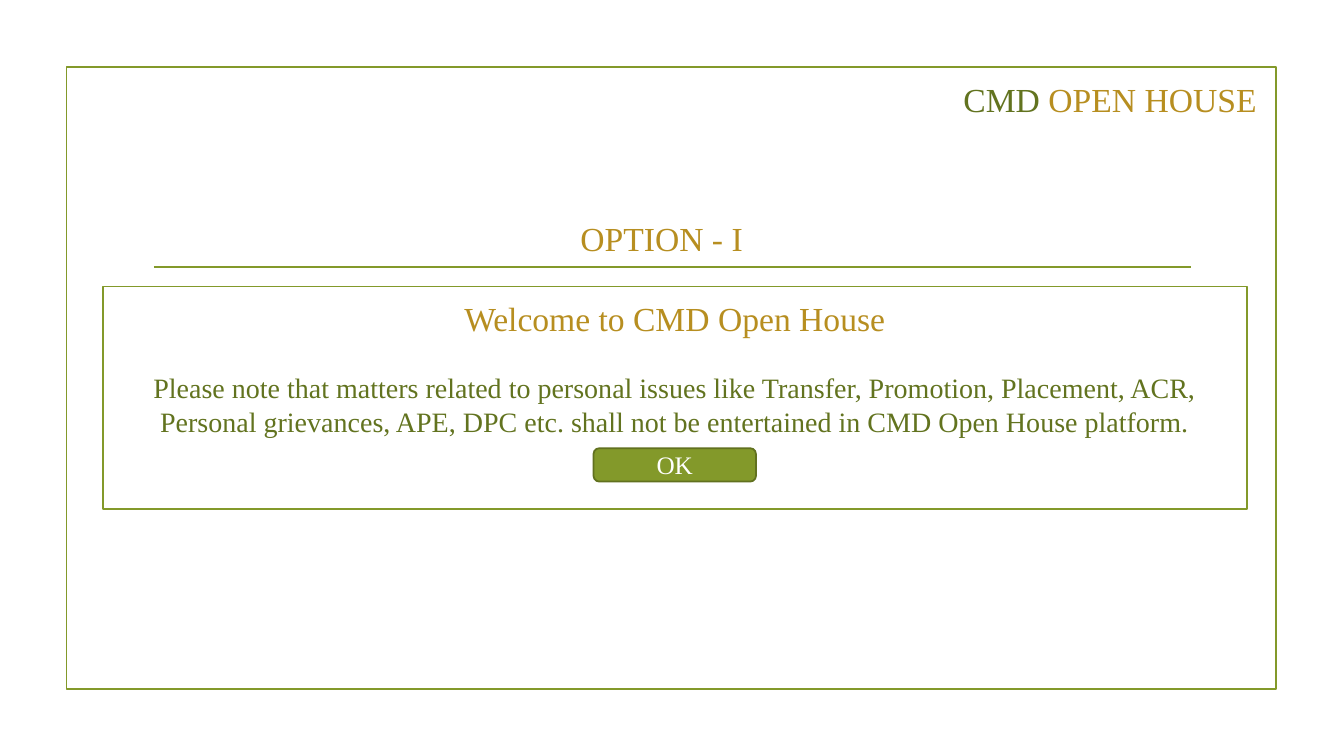
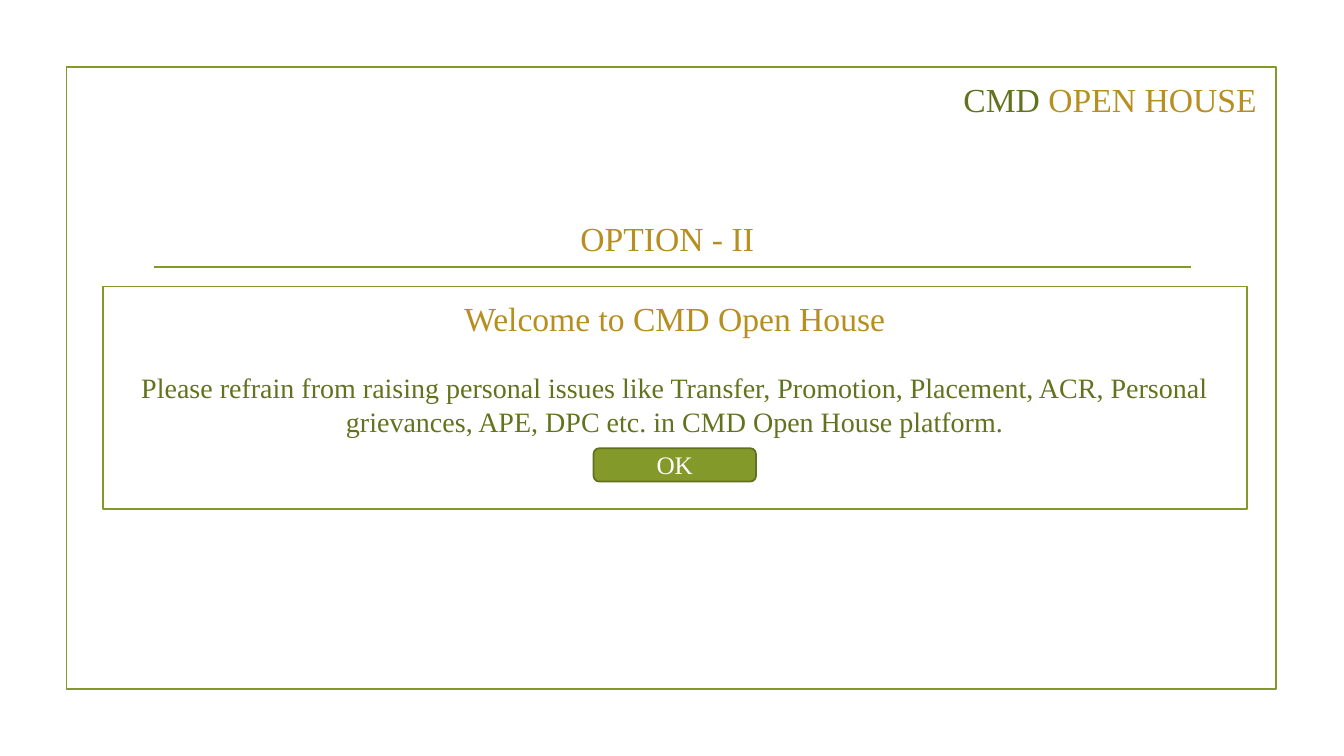
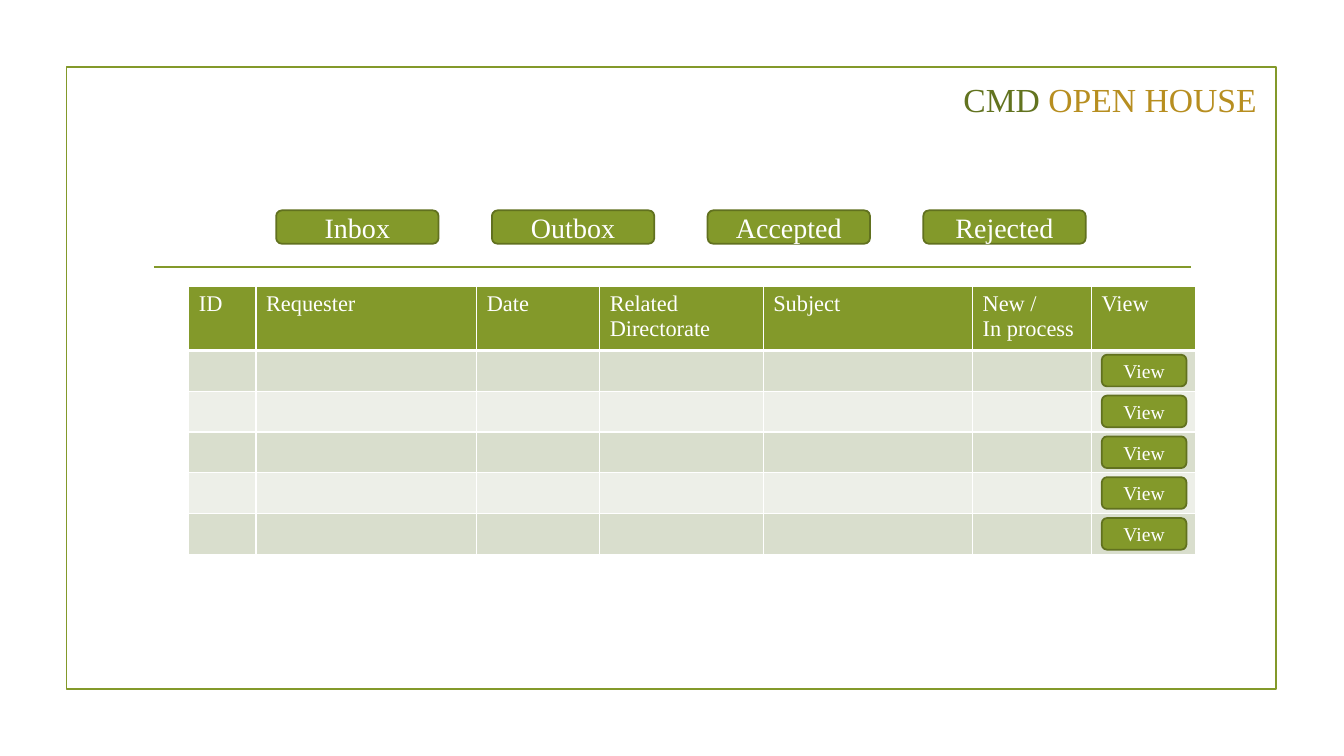
"""Build three screen mock-ups for the CMD Open House platform."""
from lxml.etree import SubElement
from pptx import Presentation
from pptx.dml.color import RGBColor
from pptx.enum.shapes import MSO_CONNECTOR as CONN, MSO_SHAPE as SHAPE
from pptx.enum.text import MSO_ANCHOR as ANCHOR, PP_ALIGN as ALIGN
from pptx.oxml.ns import qn
from pptx.util import Pt

FONT = "Times New Roman"
GREEN, EDGE, DARK, GOLD, WHITE = "83992A", "61711F", "62731F", "B78E20", "FFFFFF"
BANDS = ["D9DECD", "EDEFE8"]
LINE = 1.25

WELCOME = "Welcome to CMD Open House"
OPTIONS = [
    ("OPTION - I",
     "Please note that matters related to personal issues like Transfer, Promotion, "
     "Placement, ACR, Personal grievances, APE, DPC etc. shall not be entertained in "
     "CMD Open House platform."),
    ("OPTION - II",
     "Please refrain from raising personal issues like Transfer, Promotion, Placement, "
     "ACR, Personal grievances, APE, DPC etc. in CMD Open House platform."),
]
TABS = ["Inbox", "Outbox", "Accepted", "Rejected"]
COLUMNS = [
    (["ID"], 48), (["Requester"], 157.7), (["Date"], 87.8),
    (["Related Directorate"], 116.8), (["Subject"], 149.6),
    (["New /", "In process"], 85), (["View"], 74.6),
]
REQUESTS = 5

FRAME = (47.5, 48, 864, 444)
RULE_LEFT, RULE_RIGHT, RULE_TOP = 110, 850.5, 190.8
BODY_TOP = 204.7
PANEL = (73.4, BODY_TOP, 817.2, 159.1)
BUTTON_W, BUTTON_H = 116, 23.8
TABS_LEFT, TABS_TOP, TAB_STEP = 197.3, 150.3, 154.08
TABLE_LEFT, HEADER_H, ROW_H = 134.9, 42.4, 29.16
VIEW_LEFT, VIEW_TOP, VIEW_W, VIEW_H = 787, 253.4, 60.5, 22.6


def rgb(value):
    """Turn a hex string into a colour."""
    return RGBColor.from_string(value)


def add_run(p, text, size, color):
    """Append one styled run to a paragraph."""
    r = p.add_run()
    r.text = text
    r.font.name, r.font.size = FONT, Pt(size)
    r.font.color.rgb = rgb(color)


def add_box(s, kind, box, fill, line):
    """Add an outlined preset shape, unfilled when fill is None."""
    sp = s.shapes.add_shape(kind, *map(Pt, box))
    sp.shadow.inherit = False
    if fill:
        sp.fill.solid()
        sp.fill.fore_color.rgb = rgb(fill)
    else:
        sp.fill.background()
    sp.line.color.rgb = rgb(line)
    sp.line.width = Pt(LINE)
    return sp


def add_button(s, text, box, size):
    """Add a rounded button with a centred caption."""
    tf = add_box(s, SHAPE.ROUNDED_RECTANGLE, box, GREEN, EDGE).text_frame
    tf.vertical_anchor = ANCHOR.MIDDLE
    p = tf.paragraphs[0]
    p.alignment = ALIGN.CENTER
    add_run(p, text, size, WHITE)


def add_heading(s, box, runs):
    """Add a one-line heading made of (text, colour) runs."""
    tf = s.shapes.add_textbox(*map(Pt, box)).text_frame
    tf.word_wrap = True
    for text, color in runs:
        add_run(tf.paragraphs[0], text, 24, color)


def add_screen(prs):
    """Add a slide with the frame, rule and platform name."""
    s = prs.slides.add_slide(prs.slide_layouts[6])
    add_box(s, SHAPE.RECTANGLE, FRAME, None, GREEN)
    rule = s.shapes.add_connector(
        CONN.STRAIGHT, Pt(RULE_LEFT), Pt(RULE_TOP), Pt(RULE_RIGHT), Pt(RULE_TOP))
    rule.line.color.rgb = rgb(GREEN)
    rule.line.width = Pt(LINE)
    SubElement(rule._element.spPr, qn("a:effectLst"))
    add_heading(s, (681.1, 53, 245.5, 65.5), [("CMD ", DARK), ("OPEN HOUSE", GOLD)])
    return s


def add_notice(s, notice):
    """Add the welcome panel with its notice and OK button."""
    tf = add_box(s, SHAPE.RECTANGLE, PANEL, WHITE, GREEN).text_frame
    tf.vertical_anchor = ANCHOR.TOP
    tf.margin_top = Pt(8.2)
    title, body = tf.paragraphs[0], tf.add_paragraph()
    title.alignment = body.alignment = ALIGN.CENTER
    title.space_after = Pt(23)
    body.line_spacing = Pt(24)
    add_run(title, WELCOME, 24, GOLD)
    add_run(body, notice, 20, DARK)
    left = PANEL[0] + (PANEL[2] - BUTTON_W) / 2
    add_button(s, "OK", (left, 320.2, BUTTON_W, BUTTON_H), 18)


def style_cell(cell, fill, bottom):
    """Give a cell white borders and a solid fill."""
    tc_pr = cell._tc.get_or_add_tcPr()
    for side, width in [("L", 1), ("R", 1), ("T", 1), ("B", bottom)]:
        ln = SubElement(tc_pr, qn(f"a:ln{side}"), w=str(Pt(width)))
        SubElement(SubElement(ln, qn("a:solidFill")), qn("a:srgbClr"), val=WHITE)
    cell.fill.solid()
    cell.fill.fore_color.rgb = rgb(fill)


def add_requests(s):
    """Add the request table and a View button on each row."""
    width = sum(w for _, w in COLUMNS)
    height = HEADER_H + REQUESTS * ROW_H
    table = s.shapes.add_table(REQUESTS + 1, len(COLUMNS), Pt(TABLE_LEFT),
                               Pt(BODY_TOP), Pt(width), Pt(height)).table
    for i, row in enumerate(table.rows):
        row.height = Pt(ROW_H if i else HEADER_H)
        for cell in row.cells:
            style_cell(cell, BANDS[(i - 1) % 2] if i else GREEN, 1 if i else 3)
    for j, (lines, w) in enumerate(COLUMNS):
        table.columns[j].width = Pt(w)
        tf = table.cell(0, j).text_frame
        for k, text in enumerate(lines):
            p = tf.add_paragraph() if k else tf.paragraphs[0]
            add_run(p, text, 16, WHITE)
            p.runs[0].font.bold = False
    for i in range(REQUESTS):
        add_button(s, "View", (VIEW_LEFT, VIEW_TOP + i * ROW_H, VIEW_W, VIEW_H), 14)


def main():
    """Build and save the deck."""
    prs = Presentation()
    prs.slide_width, prs.slide_height = Pt(960), Pt(540)
    for option, notice in OPTIONS:
        s = add_screen(prs)
        add_heading(s, (407.5, 152.4, 144.7, 34.6), [(option, GOLD)])
        add_notice(s, notice)
    s = add_screen(prs)
    for i, tab in enumerate(TABS):
        add_button(s, tab, (TABS_LEFT + i * TAB_STEP, TABS_TOP, BUTTON_W, BUTTON_H), 20)
    add_requests(s)
    prs.save("out.pptx")


if __name__ == "__main__":
    main()
